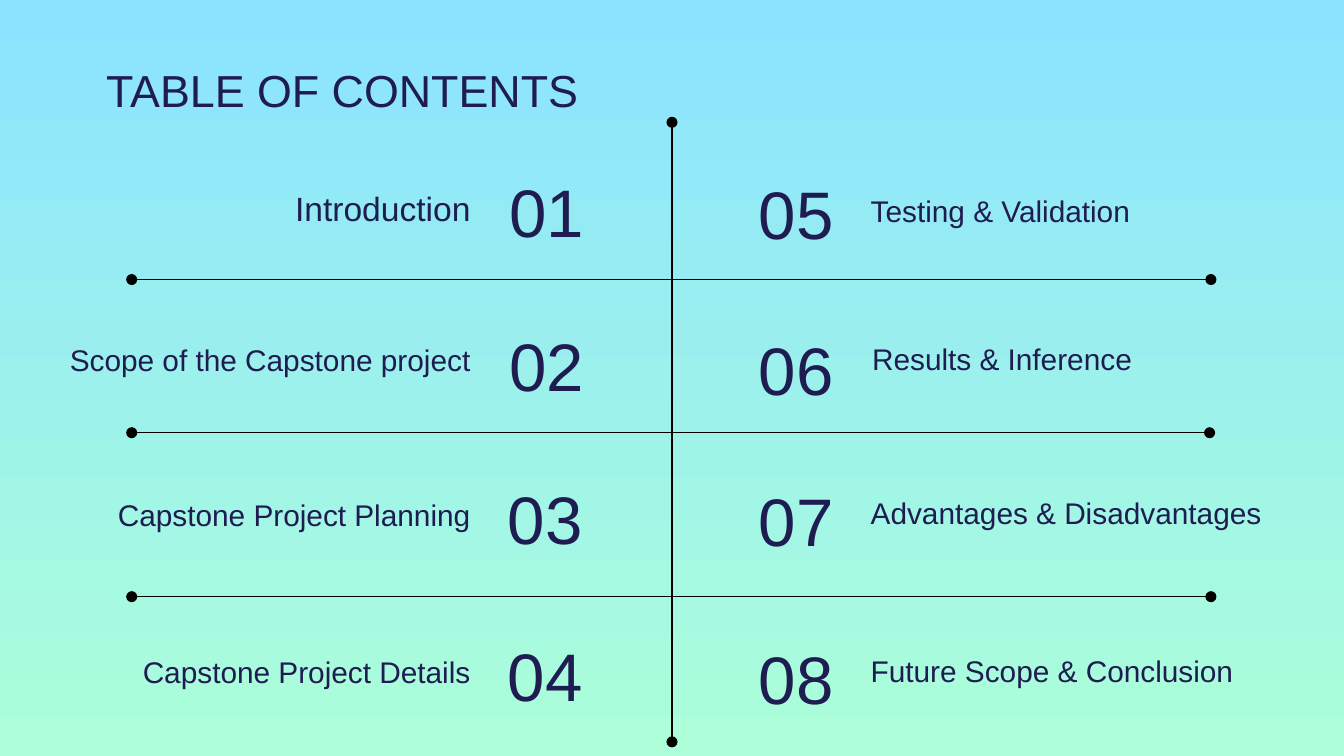
from typing import NamedTuple

from lxml import etree
from pptx import Presentation
from pptx.dml.color import RGBColor
from pptx.enum.shapes import MSO_CONNECTOR
from pptx.enum.text import MSO_ANCHOR, MSO_AUTO_SIZE, PP_ALIGN
from pptx.oxml.ns import qn
from pptx.shapes.base import BaseShape
from pptx.slide import Slide
from pptx.util import Inches, Pt

LEFT, RIGHT = PP_ALIGN.LEFT, PP_ALIGN.RIGHT
TOP, MIDDLE, BOTTOM = MSO_ANCHOR.TOP, MSO_ANCHOR.MIDDLE, MSO_ANCHOR.BOTTOM
NO_FIT = MSO_AUTO_SIZE.NONE
STRAIGHT = MSO_CONNECTOR.STRAIGHT

COLORS = {"ink": "1F1C51", "line": "000000", "sky": "8BE3FF", "mint": "ACFFD9"}
FONT = "Arial"


class Box(NamedTuple):
    left: float
    top: float
    width: float
    height: float


class Entry(NamedTuple):
    text: str
    label: Box
    num: Box
    size: int = 16


class Rule(NamedTuple):
    x1: float
    y1: float
    x2: float
    y2: float


LEFT_SIDE = [
    Entry("Introduction", Box(0.62, 1.3, 2.98, 0.5), Box(3.69, 1.14, 1.3, 0.86), 18),
    Entry("Scope of the Capstone project", Box(-0.08, 2.41, 3.68, 0.5),
          Box(3.69, 2.28, 1.3, 0.86)),
    Entry("Capstone Project Planning", Box(0.62, 3.56, 2.98, 0.5),
          Box(3.68, 3.42, 1.3, 0.86)),
    Entry("Capstone Project Details", Box(0.62, 4.73, 2.98, 0.5),
          Box(3.68, 4.59, 1.3, 0.86)),
]
RIGHT_SIDE = [
    Entry("Testing & Validation", Box(6.38, 1.3, 2.98, 0.5), Box(5, 1.15, 1.3, 0.86)),
    Entry("Results & Inference", Box(6.39, 2.4, 2.98, 0.5), Box(5, 2.31, 1.3, 0.86)),
    Entry("Advantages & Disadvantages", Box(6.38, 3.55, 3.29, 0.5),
          Box(5, 3.44, 1.3, 0.86)),
    Entry("Future Scope & Conclusion", Box(6.38, 4.72, 2.98, 0.5),
          Box(5, 4.61, 1.3, 0.86)),
]
RULES = [
    Rule(5, 0.91, 5, 5.52),
    Rule(0.98, 2.08, 9.01, 2.08),
    Rule(0.98, 3.22, 9, 3.22),
    Rule(0.98, 4.44, 9.01, 4.44),
]


def color(name: str) -> RGBColor:
    return RGBColor.from_string(COLORS[name])


def write(shape: BaseShape, text: str, size: int, align: PP_ALIGN,
          anchor: MSO_ANCHOR) -> None:
    frame = shape.text_frame
    frame.text = text
    frame.word_wrap = True
    frame.auto_size = NO_FIT
    frame.vertical_anchor = anchor
    frame.margin_left = frame.margin_right = Inches(0.1)
    frame.margin_top = frame.margin_bottom = Inches(0.1)
    para = frame.paragraphs[0]
    para.alignment = align
    font = para.runs[0].font
    font.name, font.size = FONT, Pt(size)
    font.color.rgb = color("ink")


def add_text(slide: Slide, box: Box, text: str, size: int, align: PP_ALIGN,
             anchor: MSO_ANCHOR) -> None:
    shape = slide.shapes.add_textbox(*map(Inches, box))
    write(shape, text, size, align, anchor)


def add_rule(slide: Slide, rule: Rule) -> None:
    line = slide.shapes.add_connector(STRAIGHT, *map(Inches, rule))
    line.line.color.rgb = color("line")
    line.line.width = Pt(0.75)
    stroke = line.line._get_or_add_ln()
    for end in ("a:headEnd", "a:tailEnd"):
        etree.SubElement(stroke, qn(end), type="oval")
    etree.SubElement(line._element.spPr, qn("a:effectLst"))


def add_title(slide: Slide, text: str, box: Box) -> None:
    title = slide.shapes.title
    title.left, title.top, title.width, title.height = map(Inches, box)
    write(title, text, 24, LEFT, TOP)


def add_side(slide: Slide, side: list[Entry], first: int, outer: PP_ALIGN,
             inner: PP_ALIGN) -> None:
    for num, entry in enumerate(side, first):
        add_text(slide, entry.label, entry.text, entry.size, outer, BOTTOM)
        add_text(slide, entry.num, f"{num:02}", 36, inner, MIDDLE)


def paint(slide: Slide) -> None:
    fill = slide.background.fill
    fill.gradient()
    fill.gradient_angle = 270
    for stop, name in zip(fill.gradient_stops, ("sky", "mint")):
        stop.color.rgb = color(name)


def main() -> None:
    deck = Presentation()
    deck.slide_width = Inches(10)
    deck.slide_height = Inches(10 * 9 / 16)
    slide = deck.slides.add_slide(deck.slide_layouts[5])
    paint(slide)
    add_title(slide, "TABLE OF CONTENTS", Box(0.69, 0.37, 6.65, 0.59))
    for rule in RULES:
        add_rule(slide, rule)
    add_side(slide, LEFT_SIDE, 1, RIGHT, LEFT)
    add_side(slide, RIGHT_SIDE, 5, LEFT, RIGHT)
    deck.save("out.pptx")


if __name__ == "__main__":
    main()
